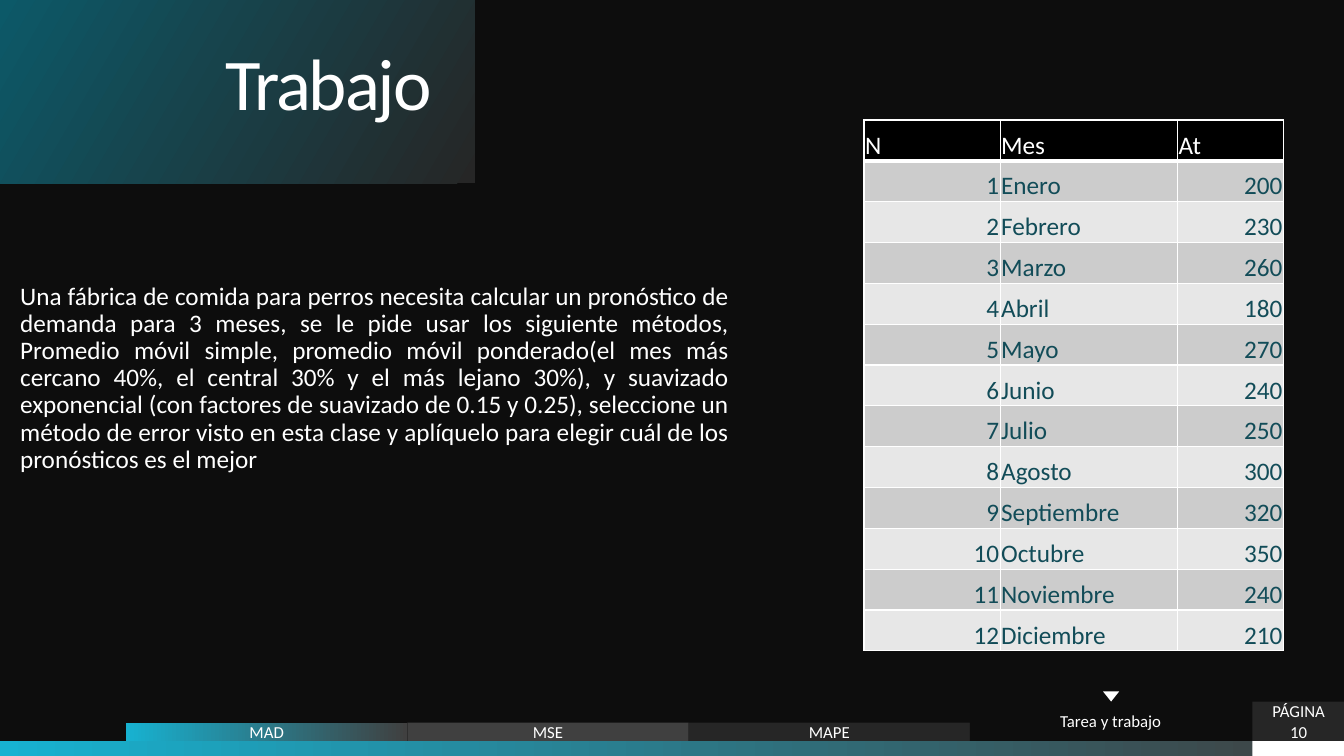
from lxml import etree
from pptx import Presentation
from pptx.dml.color import RGBColor
from pptx.enum.shapes import MSO_SHAPE
from pptx.enum.text import MSO_ANCHOR, MSO_AUTO_SIZE, PP_ALIGN
from pptx.oxml.ns import qn
from pptx.util import Inches, Pt

RECTANGLE, TRIANGLE = MSO_SHAPE.RECTANGLE, MSO_SHAPE.ISOSCELES_TRIANGLE
MIDDLE, BOTTOM = MSO_ANCHOR.MIDDLE, MSO_ANCHOR.BOTTOM
LEFT, RIGHT = PP_ALIGN.LEFT, PP_ALIGN.RIGHT
CENTER, JUSTIFY = PP_ALIGN.CENTER, PP_ALIGN.JUSTIFY
NO_AUTOFIT = MSO_AUTO_SIZE.NONE

color = RGBColor.from_string
WHITE, BLACK, NIGHT = "FFFFFF", "000000", "0D0D0D"
CHARCOAL, GRAY, CYAN = "262626", "404040", "17B2D1"
DARK_TEAL, TABLE_TEAL = "0C5968", "124C58"
BANDS = ["CCCCCC", "E7E7E7"]


def paint(fill, colors, angle=0):
    """Fill with one colour, or with a gradient between two."""
    if len(colors) == 1:
        fill.solid()
        fill.fore_color.rgb = color(colors[0])
        return
    fill.gradient()
    fill.gradient_angle = angle
    for stop, stop_color in zip(fill.gradient_stops, colors):
        stop.color.rgb = color(stop_color)


def write(text_frame, text, size, alignment, text_color=WHITE, line_spacing=1.0):
    """Write one formatted paragraph and return it."""
    paragraph = text_frame.paragraphs[0]
    run = paragraph.add_run()
    run.text = text
    paragraph_format = {"alignment": alignment, "line_spacing": line_spacing,
                        "space_before": Pt(0)}
    for name, value in paragraph_format.items():
        setattr(paragraph, name, value)
    for name, value in {"name": "Calibri", "size": Pt(size), "bold": False}.items():
        setattr(run.font, name, value)
    run.font.color.rgb = color(text_color)
    return paragraph


presentation = Presentation()
presentation.slide_width = Inches(13.33)
presentation.slide_height = Inches(7.5)
slide = presentation.slides.add_slide(presentation.slide_layouts[1])
paint(slide.background.fill, [NIGHT])

# Title and body placeholders
title, body = slide.shapes.title, slide.placeholders[1]
placeholders = [
    (title, (0, 0, 4.71, 1.82), (0.43, 0)),
    (body, (0.08, 2.47, 7.27, 2.57), (0.12, 0.12)),
]
for shape, box, (side, edge) in placeholders:
    for name, value in zip(("left", "top", "width", "height"), box):
        setattr(shape, name, Inches(value))
    frame_format = {"margin_left": Inches(side), "margin_right": Inches(side),
                    "margin_top": Inches(edge), "margin_bottom": Inches(edge),
                    "vertical_anchor": MIDDLE, "word_wrap": True,
                    "auto_size": NO_AUTOFIT}
    for name, value in frame_format.items():
        setattr(shape.text_frame, name, value)

paint(title.fill, [CHARCOAL, DARK_TEAL], 150)
title_paragraph = write(title.text_frame, "Trabajo", 52, RIGHT, line_spacing=0.7)
title_paragraph.runs[0]._r.get_or_add_rPr().set("spc", "-150")

body_properties = body.text_frame.paragraphs[0]._p.get_or_add_pPr()
body_properties.set("marL", "0")
body_properties.set("indent", "0")
etree.SubElement(body_properties, qn("a:buNone"))
write(
    body.text_frame,
    "Una fábrica de comida para perros necesita calcular un pronóstico de demanda "
    "para 3 meses, se le pide usar los siguiente métodos, Promedio móvil simple, "
    "promedio móvil ponderado(el mes más cercano 40%, el central 30% y el más lejano "
    "30%), y suavizado exponencial (con factores de suavizado de 0.15 y 0.25), "
    "seleccione un método de error visto en esta clase y aplíquelo para elegir cuál "
    "de los pronósticos es el mejor",
    18, JUSTIFY, line_spacing=0.9)

# Footer strip, page number, navigation tabs and marker
TAB_LEFT, TAB_WIDTH = 1.25, 2.79
tabs = [("MAD", 7.17, 0.18, [CYAN, GRAY]), ("MSE", 7.17, 0.18, [GRAY]),
        ("MAPE", 7.17, 0.18, [CHARCOAL]), ("Tarea y trabajo", 6.96, 0.39, [NIGHT])]
footer = [
    (RECTANGLE, (0, 7.35, 13.33, 0.15), [CYAN, GRAY], ""),
    (RECTANGLE, (12.42, 7.35, 0.92, 0.15), [WHITE], ""),
    (RECTANGLE, (12.42, 6.96, 0.92, 0.39), [CHARCOAL], "PÁGINA 10"),
]
for index, (label, top, height, colors) in enumerate(tabs):
    box = (TAB_LEFT + index * TAB_WIDTH, top, TAB_WIDTH, height)
    footer.append((RECTANGLE, box, colors, label))
footer.append((TRIANGLE, (10.94, 6.86, 0.16, 0.1), [WHITE], ""))

for kind, box, colors, label in footer:
    shape = slide.shapes.add_shape(kind, *map(Inches, box))
    shape.shadow.inherit = False
    shape.line.fill.background()
    paint(shape.fill, colors)
    if kind == TRIANGLE:
        shape.rotation = 180
    if label:
        shape.text_frame.word_wrap = True
        shape.text_frame.vertical_anchor = MIDDLE
        write(shape.text_frame, label, 12, CENTER)

# Demand table
months = ["Enero", "Febrero", "Marzo", "Abril", "Mayo", "Junio", "Julio",
          "Agosto", "Septiembre", "Octubre", "Noviembre", "Diciembre"]
demand = [200, 230, 260, 180, 270, 240, 250, 300, 320, 350, 240, 210]
rows = [("N", "Mes", "At"), *zip(range(1, 13), months, demand)]
table = slide.shapes.add_table(len(rows), 3, Inches(8.57), Inches(1.19),
                               Inches(4.16), Inches(5.27)).table
table.first_row = table.horz_banding = False
for column, width in zip(table.columns, (1.35, 1.76, 1.05)):
    column.width = Inches(width)

cell_format = {"margin_left": Inches(0.01), "margin_right": Inches(0.01),
               "margin_top": Inches(0.01), "margin_bottom": 0,
               "vertical_anchor": BOTTOM}
for row_index, values in enumerate(rows):
    is_header = row_index == 0
    cell_fill = BLACK if is_header else BANDS[(row_index - 1) % 2]
    text_color = WHITE if is_header else TABLE_TEAL
    # The line under the header is thicker than the others
    top_width = 3 if row_index == 1 else 1
    bottom_width = 3 if is_header else 1
    borders = {"a:lnL": 1, "a:lnR": 1, "a:lnT": top_width, "a:lnB": bottom_width}
    for column_index, value in enumerate(values):
        cell = table.cell(row_index, column_index)
        for name, setting in cell_format.items():
            setattr(cell, name, setting)
        cell_properties = cell._tc.get_or_add_tcPr()
        for tag, width in borders.items():
            border = etree.SubElement(cell_properties, qn(tag), w=str(Pt(width)))
            border_fill = etree.SubElement(border, qn("a:solidFill"))
            etree.SubElement(border_fill, qn("a:srgbClr"), val=WHITE)
        paint(cell.fill, [cell_fill])
        alignment = RIGHT if isinstance(value, int) else LEFT
        write(cell.text_frame, str(value), 18, alignment, text_color)

presentation.save("out.pptx")
